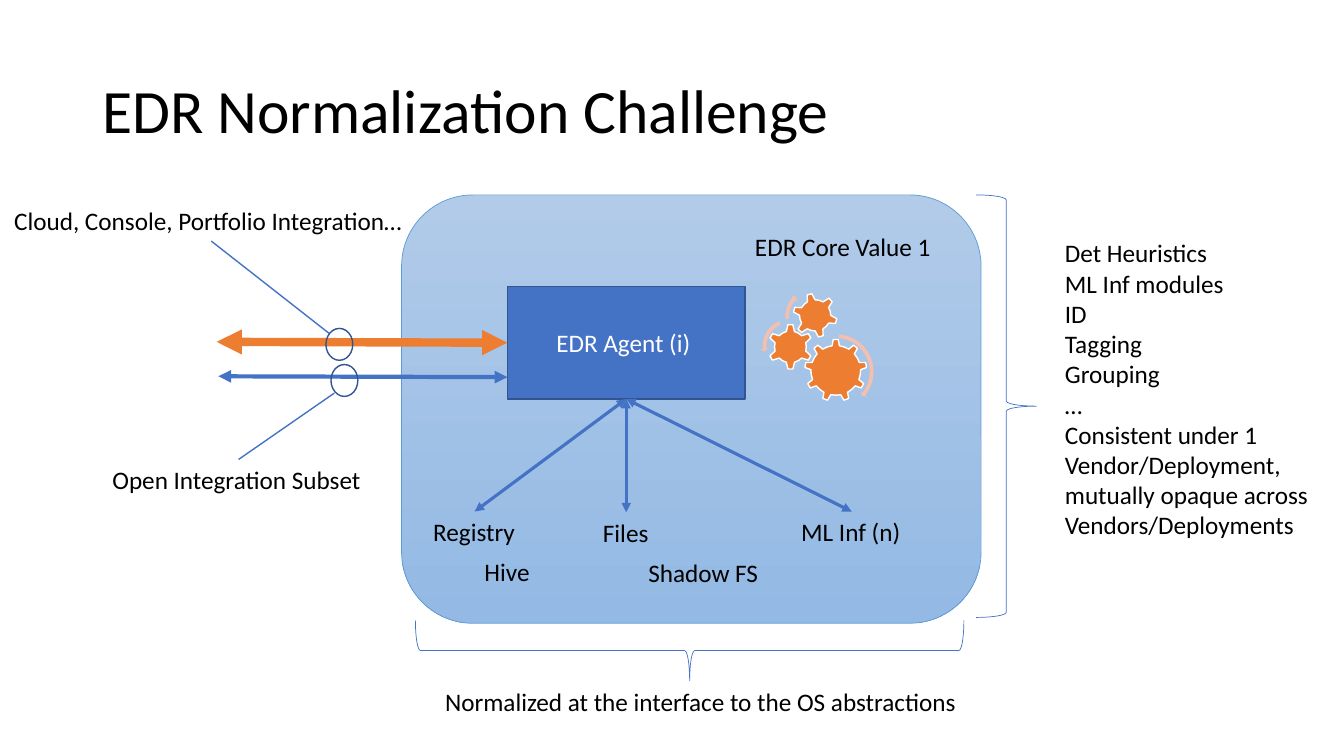
from pptx import Presentation, util as u
from pptx.dml.color import RGBColor
from pptx.enum import shapes, text
from pptx.oxml.ns import qn
from lxml import etree

BLACK = RGBColor(0x00, 0x00, 0x00)
WHITE = RGBColor(0xFF, 0xFF, 0xFF)
BLUE = RGBColor(0x44, 0x72, 0xC4)
DARK_BLUE = RGBColor(0x32, 0x54, 0x91)
SKY = RGBColor(0x5B, 0x9B, 0xD5)
PALE_TOP = RGBColor(0xB1, 0xCB, 0xE9)
PALE_BOTTOM = RGBColor(0x93, 0xB9, 0xE4)
ORANGE = RGBColor(0xED, 0x7D, 0x31)
PEACH = RGBColor(0xF4, 0xBF, 0xAE)

COLS, ROWS = 160, 90
CELL = u.Inches(7.5) / ROWS
TOP, LEFT, BOTTOM = 0, 1, 2
KIND = shapes.MSO_SHAPE


def grid(*cells):
    return [u.Emu(round(c * CELL)) for c in cells]


class Board:
    """Draws on one slide; every position and size is in grid cells."""

    def __init__(self, slide, font="Calibri", size=18):
        self.s, self.font, self.size = slide, font, size

    def add_lines(self, tf, lines, color=BLACK, size=None, align=None, spacing=None):
        for i, line in enumerate(lines):
            p = tf.add_paragraph() if i else tf.paragraphs[0]
            p.alignment, p.line_spacing = align, spacing
            r = p.add_run()
            r.text = line
            r.font.name, r.font.size = self.font, u.Pt(size or self.size)
            r.font.color.rgb = color

    def label(self, x, y, w, *lines, h=4.8, wrap=False, anchor=text.MSO_ANCHOR.TOP, **style):
        sp = self.s.shapes.add_textbox(*grid(x, y, w, h))
        tf = sp.text_frame
        tf.word_wrap, tf.vertical_anchor = wrap, anchor
        self.add_lines(tf, lines, **style)
        return sp

    def shape(self, kind, x, y, w, h, fill=None, line=None, width=1, rot=0, adj=(), group=None):
        """A pair of colours as fill makes a gradient from top to bottom."""
        sp = (group or self.s).shapes.add_shape(kind, *grid(x, y, w, h))
        sp.shadow.inherit = False
        sp.rotation = rot
        for i, value in enumerate(adj):
            sp.adjustments[i] = value
        if fill is None:
            sp.fill.background()
        elif isinstance(fill, RGBColor):
            sp.fill.solid()
            sp.fill.fore_color.rgb = fill
        else:
            sp.fill.gradient()
            sp.fill.gradient_angle = 270
            for stop, color in zip(sp.fill.gradient_stops, fill):
                stop.color.rgb = color
        if line is None:
            sp.line.fill.background()
        else:
            sp.line.color.rgb, sp.line.width = line, u.Pt(width)
        return sp

    def line(self, start, end, color=BLUE, width=1.0, arrows=False, begin_at=None, end_at=None):
        """begin_at and end_at are (shape, side) pairs to join."""
        cx = self.s.shapes.add_connector(shapes.MSO_CONNECTOR.STRAIGHT, *grid(*start, *end))
        cx.line.color.rgb, cx.line.width = color, u.Pt(width)
        props = cx._element.spPr
        if arrows:
            for tag in ("a:headEnd", "a:tailEnd"):
                etree.SubElement(props.find(qn("a:ln")), qn(tag), type="triangle")
        etree.SubElement(props, qn("a:effectLst"))
        if begin_at:
            cx.begin_connect(*begin_at)
        if end_at:
            cx.end_connect(*end_at)


def draw_gears(board):
    group = board.s.shapes.add_group_shape()
    for kind, x, y, d, rot in (
        (KIND.GEAR_9, 95.8, 40.4, 7.4, 0),
        (KIND.GEAR_6, 91.4, 38.6, 5.4, 0),
        (KIND.GEAR_6, 94.4, 34.9, 5.3, 345),
    ):
        board.shape(kind, x, y, d, d, ORANGE, WHITE, rot=rot, group=group)
    for kind, x, y, d, adj in (
        (KIND.CIRCULAR_ARROW, 94.8, 39.5, 9.5, (0.047, 2.99, 23.015, 164.446, 0.055)),
        (KIND.LEFT_CIRCULAR_ARROW, 90.5, 37.7, 7, (0.065, 4.3, 104.891, 148.378, 0.075)),
        (KIND.CIRCULAR_ARROW, 93.2, 34, 7.4, (0.06, 3.941, 133.138, 105.082, 0.07)),
    ):
        board.shape(kind, x, y, d, d, PEACH, adj=adj, group=group)


def main():
    prs = Presentation()
    prs.slide_width, prs.slide_height = grid(COLS, ROWS)
    board = Board(prs.slides.add_slide(prs.slide_layouts[6]))

    board.shape(KIND.ROUNDED_RECTANGLE, 47.8, 23.2, 69, 51, (PALE_TOP, PALE_BOTTOM), SKY, 0.5)
    board.label(11, 4.8, 138, "EDR Normalization Challenge", h=17.4, wrap=True,
                anchor=text.MSO_ANCHOR.MIDDLE, size=44, spacing=0.9)
    agent = board.shape(KIND.RECTANGLE, 60.4, 34.1, 28.3, 13.4, BLUE, DARK_BLUE)
    agent.text_frame.vertical_anchor = text.MSO_ANCHOR.MIDDLE
    board.add_lines(agent.text_frame, ["EDR Agent (i) "], WHITE, align=text.PP_ALIGN.CENTER)
    draw_gears(board)

    for x, y, w, name in ((50.4, 60.9, 12.2, "Registry"), (70.6, 61, 7.9, "Files"),
                          (94.2, 60.9, 14.4, "ML Inf (n)")):
        source = board.label(x, y, w, name)
        board.line((74.5, 47.5), (x + w / 2, y), width=2.25, arrows=True,
                   begin_at=(agent, BOTTOM), end_at=(source, TOP))
    board.label(56.5, 65.6, 7.9, "Hive")
    board.label(76, 65.8, 15.6, "Shadow FS")
    board.label(88.7, 27, 23.6, "EDR Core Value 1")

    board.label(125.6, 27.7, 35.3, "Det Heuristics", "ML Inf modules", "ID", "Tagging",
                "Grouping", "…", "Consistent under 1 Vendor/Deployment, mutually opaque "
                "across Vendors/Deployments", h=41.2, wrap=True)
    board.label(51.8, 81.1, 64, "Normalized at the interface to the OS abstractions", wrap=True)
    board.shape(KIND.RIGHT_BRACE, 78.5, 44.8, 7.2, 65.3, line=BLUE, width=0.5, rot=90)
    board.shape(KIND.RIGHT_BRACE, 116.2, 23.2, 7.2, 50.3, line=BLUE, width=0.5)

    board.line((60.4, 40.8), (25.8, 40.7), ORANGE, 6, arrows=True, begin_at=(agent, LEFT))
    board.line((60.4, 44.9), (26, 44.8), width=3, arrows=True)
    subset = board.label(12.2, 54.7, 32.4, "Open Integration Subset")
    portfolio = board.label(0.5, 23.9, 49.3, "Cloud, Console, Portfolio Integration…")
    for x, y, start, end, joint in (
        (39.4, 43.4, (39.8, 46.8), (28.4, 54.7), (subset, TOP)),
        (38.8, 39.1, (39.2, 39.7), (25.1, 28.7), (portfolio, BOTTOM)),
    ):
        board.shape(KIND.OVAL, x, y, 3.2, 3.8, line=DARK_BLUE)
        board.line(start, end, end_at=joint)

    prs.save("out.pptx")


if __name__ == "__main__":
    main()
